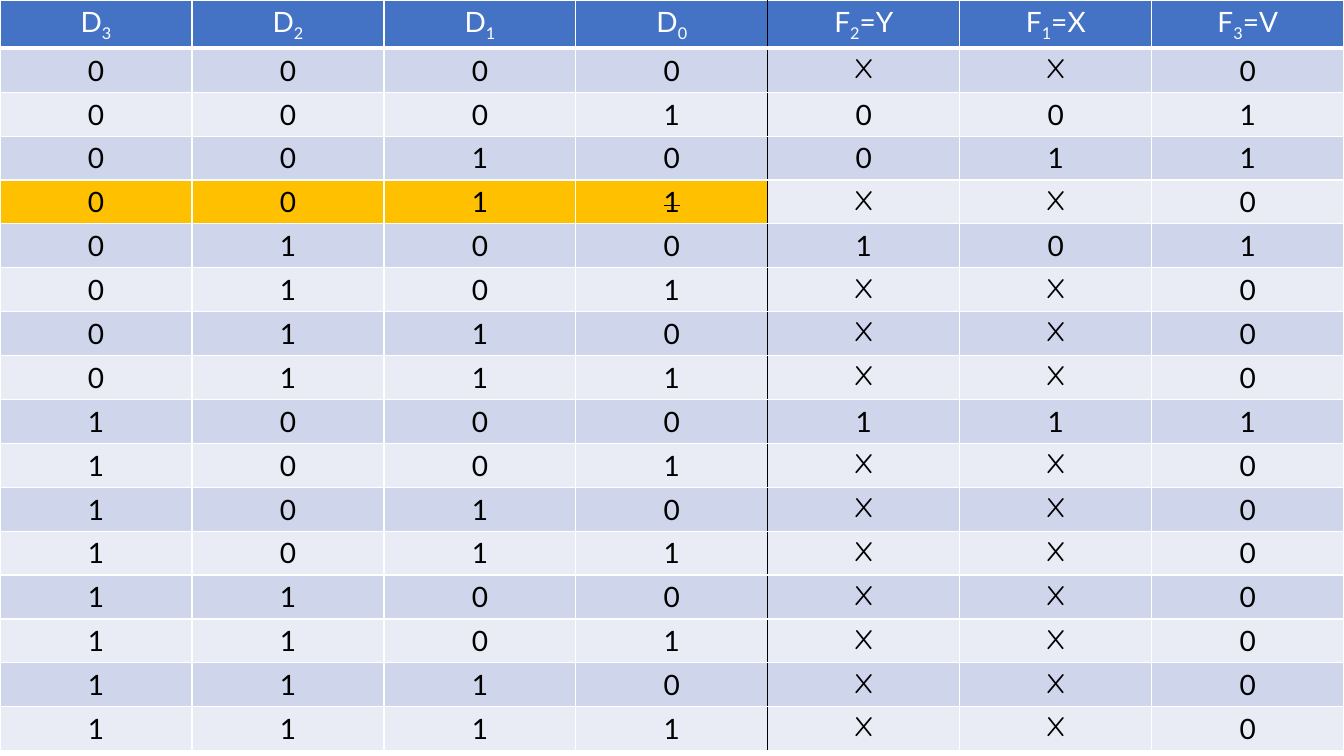
from lxml.etree import SubElement
from pptx import Presentation
from pptx.dml.color import RGBColor
from pptx.enum.text import PP_ALIGN
from pptx.oxml.ns import qn
from pptx.util import Inches, Pt

WHITE = RGBColor(0xFF, 0xFF, 0xFF)
BLACK = RGBColor(0x00, 0x00, 0x00)
HEADER_BLUE = RGBColor(0x44, 0x72, 0xC4)
BAND_DARK = RGBColor(0xCF, 0xD5, 0xEA)
BAND_LIGHT = RGBColor(0xE9, 0xEB, 0xF5)
HIGHLIGHT = RGBColor(0xFF, 0xC0, 0x00)

HEADERS = [("D", "3", ""), ("D", "2", ""), ("D", "1", ""), ("D", "0", ""),
           ("F", "2", "=Y"), ("F", "1", "=X"), ("F", "3", "=V")]
INPUT_COUNT = 4
HIGHLIGHTED_ROW = 3
# Only inputs with a single active line have a valid code
VALID_OUTPUTS = {1: "001", 2: "011", 4: "101", 8: "111"}


def add_run(paragraph, text, color=BLACK, font="Lato", size=20,
            subscript=False, strike=False):
    run = paragraph.add_run()
    run.text = text
    run.font.name = font
    run.font.size = Pt(size)
    run.font.bold = False
    run.font.color.rgb = color
    properties = run._r.get_or_add_rPr()
    if subscript:
        properties.set("baseline", "-25000")
    if strike:
        properties.set("strike", "sngStrike")


def add_border(cell, side, color, width):
    line = SubElement(cell._tc.get_or_add_tcPr(), qn(f"a:ln{side}"),
                      w=str(Pt(width)))
    fill = SubElement(line, qn("a:solidFill"))
    SubElement(fill, qn("a:srgbClr"), val=str(color))


def style_cell(cell, column, fill, bottom_width=1):
    # Black rule between inputs and outputs, white rules elsewhere
    if column > 0:
        add_border(cell, "L", BLACK if column == INPUT_COUNT else WHITE, 1)
    if column < len(HEADERS) - 1:
        add_border(cell, "R", BLACK if column == INPUT_COUNT - 1 else WHITE, 1)
    add_border(cell, "T", WHITE, 1)
    add_border(cell, "B", WHITE, bottom_width)
    cell.fill.solid()
    cell.fill.fore_color.rgb = fill
    paragraph = cell.text_frame.paragraphs[0]
    paragraph.alignment = PP_ALIGN.CENTER
    return paragraph


def add_truth_table(slide, left, top, width, height):
    row_count = 2 ** INPUT_COUNT
    frame = slide.shapes.add_table(row_count + 1, len(HEADERS),
                                   left, top, width, height)
    table = frame.table
    table.horz_banding = False
    for row in table.rows:
        row.height = Inches(0.35)
    frame.height = height

    # Header row
    for column, (letter, index, suffix) in enumerate(HEADERS):
        paragraph = style_cell(table.cell(0, column), column, HEADER_BLUE, 3)
        add_run(paragraph, letter, color=WHITE)
        add_run(paragraph, index, color=WHITE, subscript=True)
        if suffix:
            add_run(paragraph, suffix, color=WHITE)

    # One row for each input combination
    for number in range(row_count):
        values = f"{number:04b}" + VALID_OUTPUTS.get(number, "XX0")
        band = BAND_LIGHT if number % 2 else BAND_DARK
        for column, value in enumerate(values):
            highlighted = number == HIGHLIGHTED_ROW and column < INPUT_COUNT
            paragraph = style_cell(table.cell(number + 1, column), column,
                                   HIGHLIGHT if highlighted else band)
            add_run(paragraph, value,
                    font="Comic Neue" if value == "X" else "Lato",
                    strike=highlighted and column == INPUT_COUNT - 1)


def main():
    presentation = Presentation()
    presentation.slide_width = Inches(13.33)
    presentation.slide_height = Inches(7.5)
    slide = presentation.slides.add_slide(presentation.slide_layouts[6])
    add_truth_table(slide, Inches(0), Inches(0), Inches(13.33), Inches(7.37))
    presentation.save("out.pptx")


if __name__ == "__main__":
    main()
